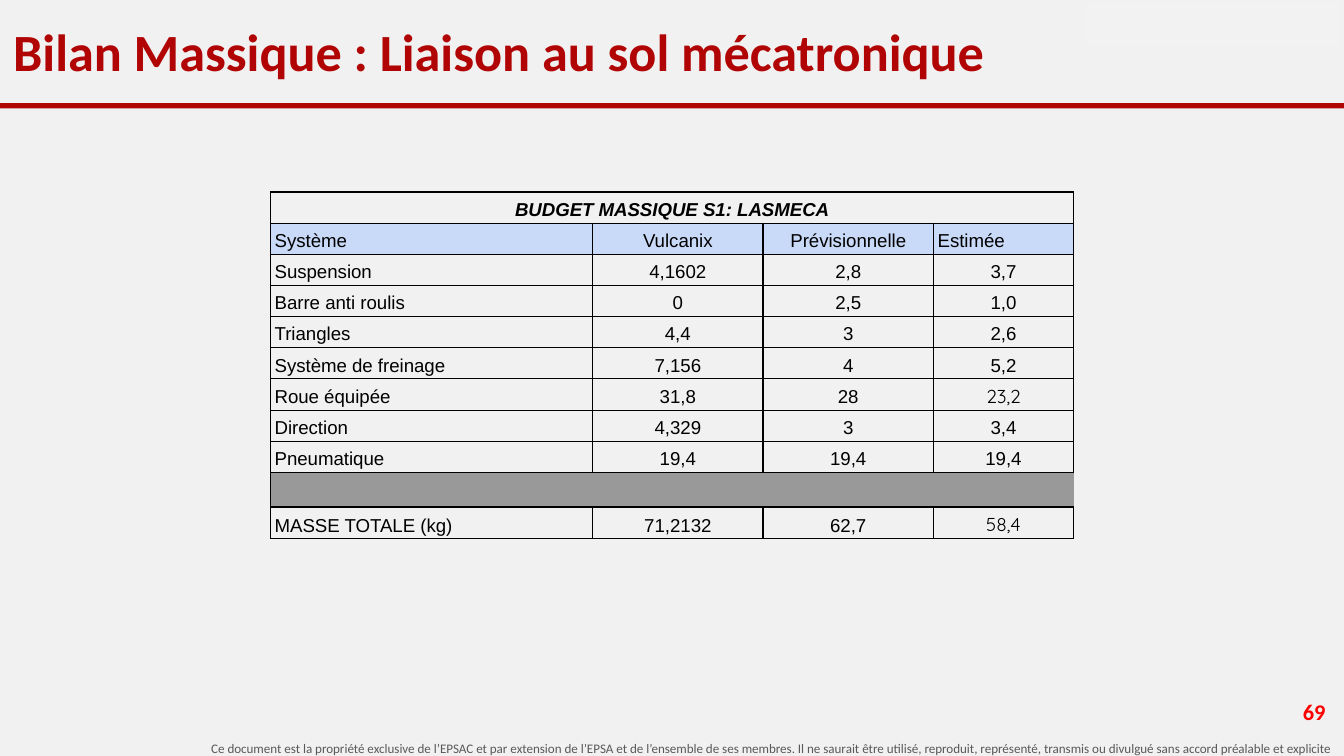
from dataclasses import dataclass

from lxml.etree import SubElement
from pptx import Presentation
from pptx.dml.color import RGBColor
from pptx.enum.shapes import MSO_SHAPE
from pptx.enum.text import MSO_ANCHOR, MSO_AUTO_SIZE, PP_ALIGN
from pptx.oxml.ns import qn
from pptx.util import Cm, Pt


@dataclass(frozen=True)
class Theme:
    """Colours, fonts and type sizes."""
    back: str = "F1F1F1"
    pale: str = "F2F2F2"
    brand: str = "B10404"
    alert: str = "FF0000"
    muted: str = "595959"
    ink: str = "000000"
    head: str = "C9DAF8"
    band: str = "999999"
    sans: str = "Calibri"
    grid: str = "Arial"
    soft: str = "Quicksand"
    title: float = 28
    page: float = 12
    body: float = 10
    note: float = 7


def write(frame, text, font, size, color, bold=False, italic=False,
          align=PP_ALIGN.LEFT, space=None):
    """Put one formatted paragraph in a text frame."""
    para = frame.paragraphs[0]
    para.alignment = align
    para.line_spacing = space
    if not text:
        SubElement(para._p, qn("a:endParaRPr"), sz=str(int(size * 100)))
        return
    run = para.add_run()
    run.text = text
    run.font.name, run.font.size = font, Pt(size)
    run.font.bold, run.font.italic = bold, italic
    run.font.color.rgb = RGBColor.from_string(color)


class Deck:
    """Hold the style and the current slide."""

    def __init__(self, theme):
        """Open a deck with one title-only slide."""
        self.theme = theme
        self.file = Presentation()
        self.file.slide_width, self.file.slide_height = Cm(25.4), Cm(14.29)
        self.slide = self.file.slides.add_slide(self.file.slide_layouts[5])
        self.paint(self.slide.background.fill, theme.back)

    def paint(self, fill, color):
        """Give a fill one solid colour."""
        fill.solid()
        fill.fore_color.rgb = RGBColor.from_string(color)

    def title(self, text, box):
        """Place and fill the title."""
        shape = self.slide.shapes.title
        shape.left, shape.top, shape.width, shape.height = map(Cm, box)
        frame = shape.text_frame
        frame.auto_size = MSO_AUTO_SIZE.NONE
        frame.vertical_anchor = MSO_ANCHOR.MIDDLE
        frame.margin_left = frame.margin_right = Cm(0.25)
        frame.margin_top = frame.margin_bottom = Cm(0.25)
        write(frame, text, self.theme.sans, self.theme.title,
              self.theme.brand, bold=True)

    def block(self, box, color, line=None):
        """Add a plain rectangle."""
        shape = self.slide.shapes.add_shape(MSO_SHAPE.RECTANGLE, *map(Cm, box))
        shape.shadow.inherit = False
        self.paint(shape.fill, color)
        if line:
            self.paint(shape.line.fill, color)
            shape.line.width = Pt(line)
        else:
            shape.line.fill.background()

    def label(self, text, box, size, color, bold=False, anchor=MSO_ANCHOR.TOP):
        """Add a text box set to the right."""
        frame = self.slide.shapes.add_textbox(*map(Cm, box)).text_frame
        frame.word_wrap = True
        frame.vertical_anchor = anchor
        write(frame, text, self.theme.sans, size, color, bold=bold,
              align=PP_ALIGN.RIGHT)

    def edge(self, cell, sides):
        """Draw the named cell sides and clear the others."""
        for side in "LRTB":
            line = SubElement(cell._tc.get_or_add_tcPr(), qn("a:ln" + side),
                              w=str(Pt(0.75)))
            if side in sides:
                fill = SubElement(line, qn("a:solidFill"))
                SubElement(fill, qn("a:srgbClr"), val=self.theme.ink)
            else:
                SubElement(line, qn("a:noFill"))

    def cell(self, cell, text, fill=None, sides="LRTB", **style):
        """Fill and frame one table cell."""
        cell.margin_left = cell.margin_right = Cm(0.08)
        cell.margin_top = cell.margin_bottom = Cm(0.05)
        cell.vertical_anchor = MSO_ANCHOR.BOTTOM
        self.edge(cell, sides)
        if fill:
            self.paint(cell.fill, fill)
        else:
            cell.fill.background()
        look = {"font": self.theme.grid, "size": self.theme.body,
                "color": self.theme.ink, "space": 1.15}
        write(cell.text_frame, text, **(look | style))

    def table(self, rows, spot, cols, highs, soft):
        """Add the budget: a caption, a header, data, a band and a total."""
        grid = self.slide.shapes.add_table(
            len(rows), len(cols), *map(Cm, (*spot, sum(cols), sum(highs)))).table
        grid.first_row = grid.horz_banding = False
        for col, width in zip(grid.columns, cols):
            col.width = Cm(width)
        for row, high in zip(grid.rows, highs):
            row.height = Cm(high)
        grid.cell(0, 0).merge(grid.cell(0, len(cols) - 1))
        for r, row in enumerate(rows):
            for c, text in enumerate(row):
                style = {}
                if r == 0:
                    style = {"bold": True, "italic": True}
                elif r == 1:
                    style = {"fill": self.theme.head}
                elif not any(row):
                    style = {"fill": self.theme.band,
                             "sides": "TB" if c else "LTB"}
                if (r, c) in soft:
                    style["font"] = self.theme.soft
                left = c == 0 and r > 0 or text == "Estimée"
                style["align"] = PP_ALIGN.LEFT if left else PP_ALIGN.CENTER
                self.cell(grid.cell(r, c), text, **style)


ROWS = [
    ("BUDGET MASSIQUE S1: LASMECA", "", "", ""),
    ("Système", "Vulcanix", "Prévisionnelle", "Estimée"),
    ("Suspension", "4,1602", "2,8", "3,7"),
    ("Barre anti roulis", "0", "2,5", "1,0"),
    ("Triangles", "4,4", "3", "2,6"),
    ("Système de freinage", "7,156", "4", "5,2"),
    ("Roue équipée", "31,8", "28", "23,2"),
    ("Direction", "4,329", "3", "3,4"),
    ("Pneumatique", "19,4", "19,4", "19,4"),
    ("", "", "", ""),
    ("MASSE TOTALE (kg)", "71,2132", "62,7", "58,4"),
]
NOTE = ("Ce document est la propriété exclusive de l’EPSAC et par extension de "
        "l’EPSA et de l’ensemble de ses membres. Il ne saurait être utilisé, "
        "reproduit, représenté, transmis ou divulgué sans accord préalable et "
        "explicite")


def main():
    """Build and save the slide."""
    theme = Theme()
    deck = Deck(theme)
    deck.label(NOTE, (0, 13.87, 25.4, 0.56), theme.note, theme.muted)
    deck.block((0, 1.95, 25.4, 0.1), theme.brand)
    deck.block((20.57, 0.08, 4.7, 0.76), theme.pale, line=2)
    deck.label("69", (22.7, 13, 2.6, 0.92), theme.page, theme.alert,
               bold=True, anchor=MSO_ANCHOR.MIDDLE)
    deck.title("Bilan Massique : Liaison au sol mécatronique",
               (0, 0.05, 25.4, 1.83))
    highs = [0.58] + [0.56] * 5 + [0.6] + [0.56] * 2 + [0.65, 0.6]
    deck.table(ROWS, (5.11, 3.63), (6.09, 3.22, 3.22, 2.65), highs,
               soft={(6, 3), (10, 3)})
    deck.file.save("out.pptx")


if __name__ == "__main__":
    main()
